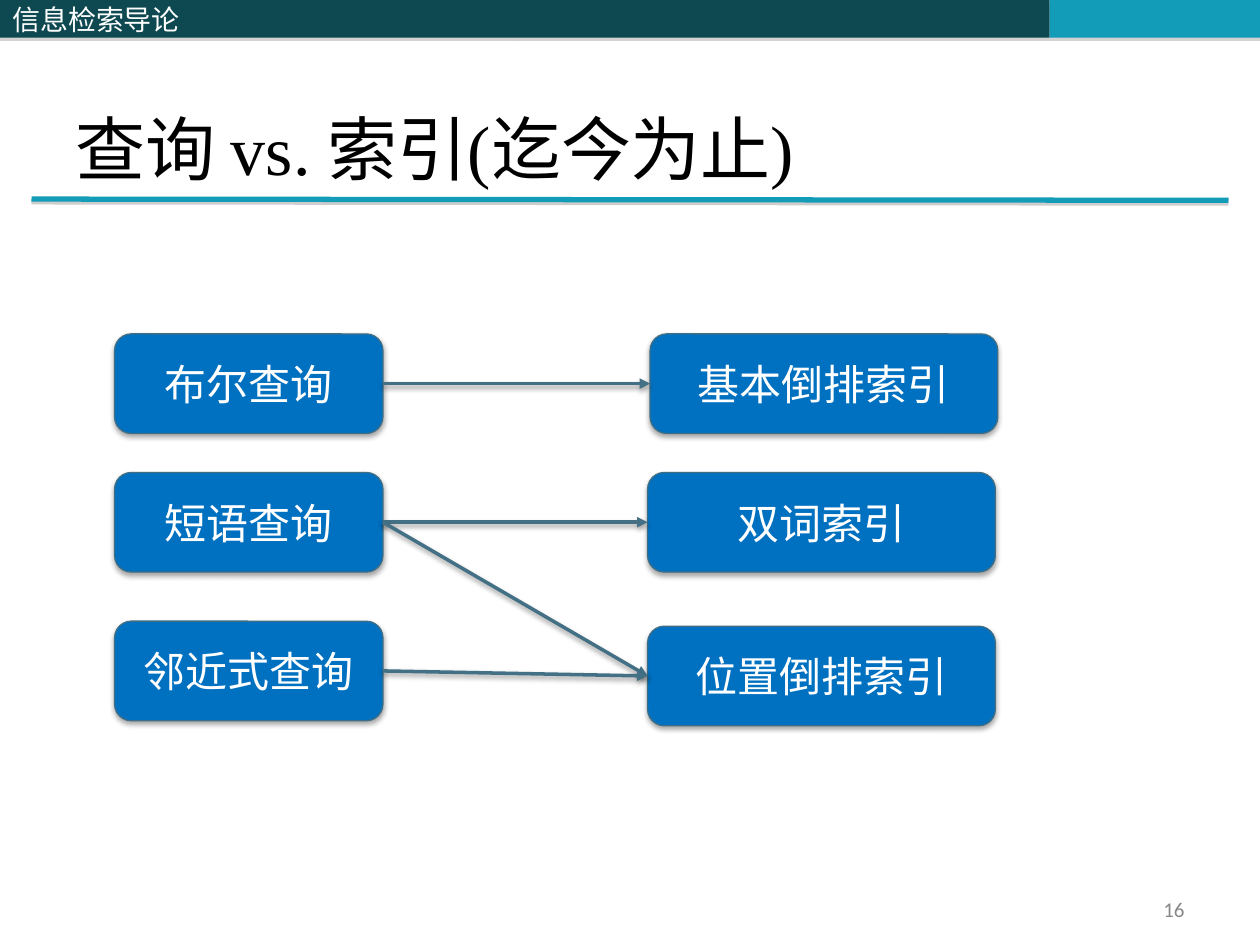
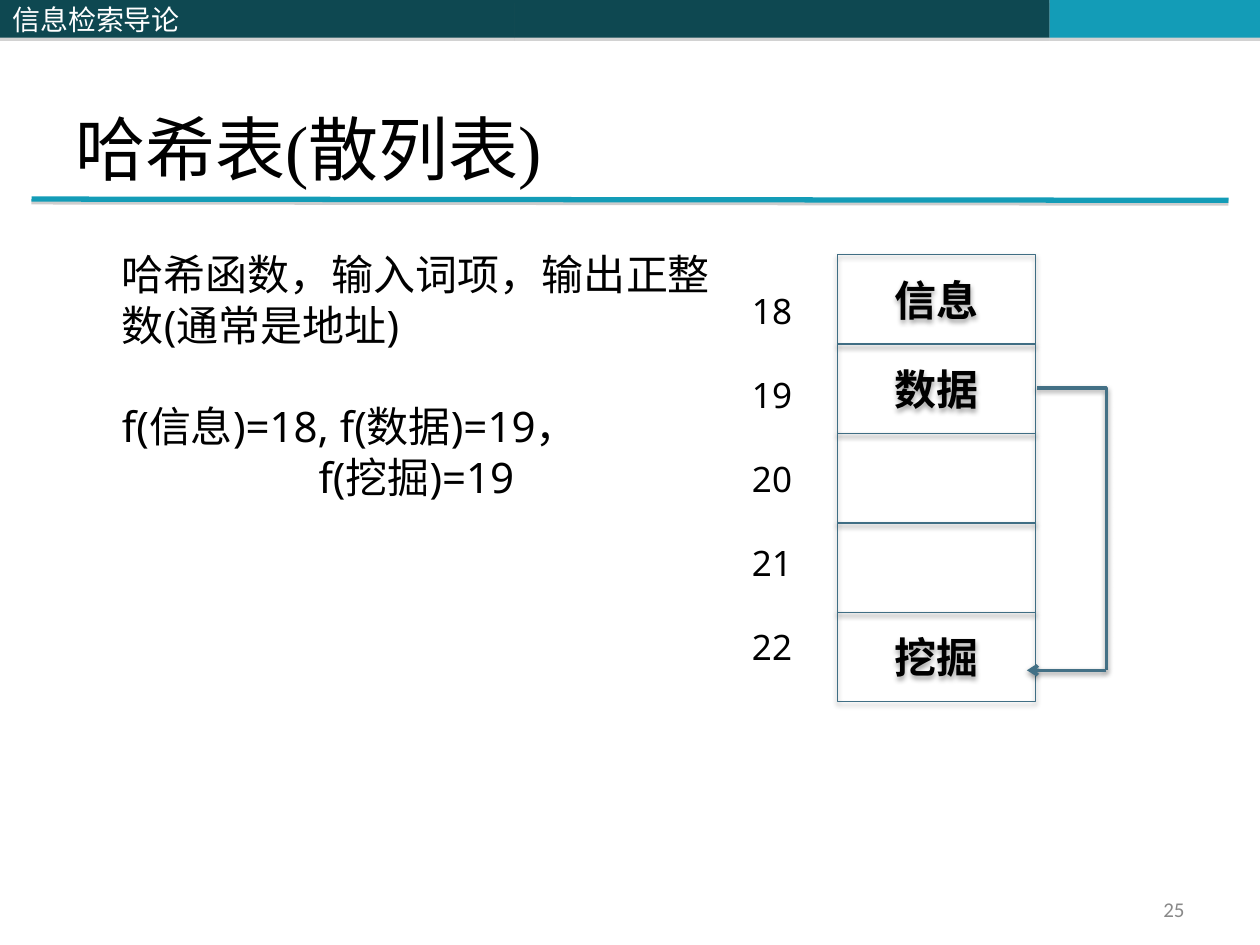
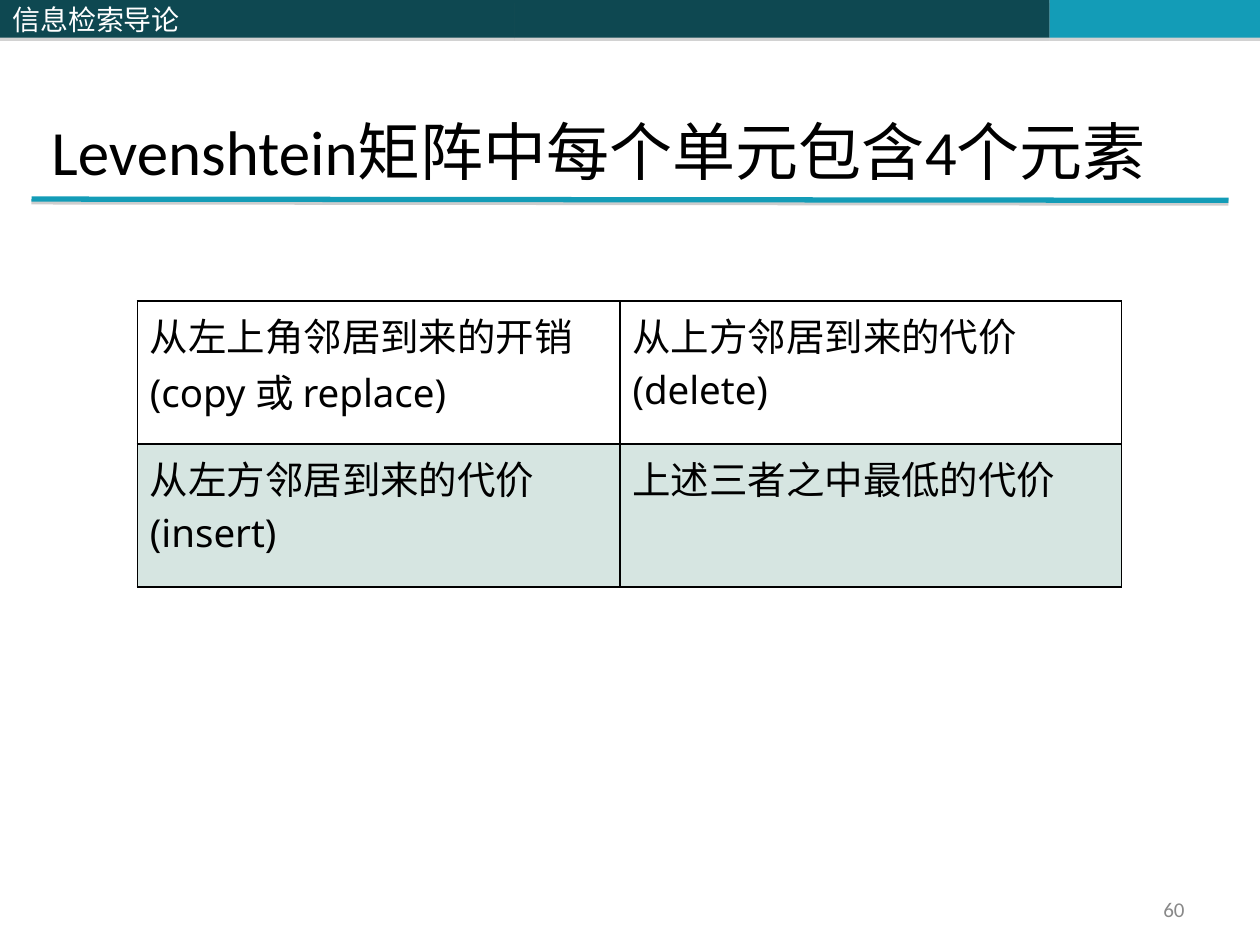
from lxml import etree
from pptx import Presentation
from pptx.dml.color import RGBColor
from pptx.enum.shapes import MSO_CONNECTOR as CONN, MSO_SHAPE as SHAPE
from pptx.enum.text import MSO_ANCHOR as ANCHOR, PP_ALIGN as ALIGN
from pptx.oxml.ns import qn
from pptx.util import Inches, Pt

COLORS = {
    "dark": "0E4851", "accent": "139CB7", "box": "0070C0", "edge": "406E84",
    "arrow": "437085", "white": "FFFFFF", "black": "000000", "gray": "898989",
    "shade": "808080", "cell": "357E69",
}
CJK = "Noto Sans CJK SC"


def rgb(name):
    return RGBColor.from_string(COLORS[name])


def sub(parent, tag, **attrs):
    return etree.SubElement(parent, qn(tag), {k: str(v) for k, v in attrs.items()})


def add_shadow(sp, color, alpha, blur, dist):
    """Give a shape or connector a soft shadow that falls straight down."""
    effects = sub(sp._element.spPr, "a:effectLst")
    shadow = sub(effects, "a:outerShdw", blurRad=Pt(blur), dist=Pt(dist),
                 dir=5400000, algn="ctr", rotWithShape=0)
    clr = sub(shadow, "a:srgbClr", val=COLORS[color])
    sub(clr, "a:alpha", val=alpha * 1000)


def write(tf, *lines, size=24, font="Calibri", color="black", bold=False, align=ALIGN.LEFT,
          anchor=ANCHOR.TOP, pitch=None, gaps=(), indents=()):
    """Fill a text frame; gaps and indents map a line number to its size."""
    tf.word_wrap = True
    tf.vertical_anchor = anchor
    for i, line in enumerate(lines):
        p = tf.paragraphs[0] if i == 0 else tf.add_paragraph()
        p.alignment = align
        if pitch:
            p.line_spacing = Pt(pitch)
        if i in gaps:
            p.space_before = Pt(gaps[i])
        if i in indents:
            p._p.get_or_add_pPr().set("marL", str(Inches(indents[i])))
        r = p.add_run()
        r.text = line
        r.font.size, r.font.name, r.font.bold = Pt(size), font, bold
        r.font.color.rgb = rgb(color)
        sub(r._r.get_or_add_rPr(), "a:ea", typeface=CJK)


class Deck:
    def __init__(self):
        self.prs = Presentation()
        self.prs.slide_width, self.prs.slide_height = Inches(10), Inches(7.5)
        self.s = None

    def slide(self, number, title, **title_style):
        self.s = self.prs.slides.add_slide(self.prs.slide_layouts[6])
        self.band(4.08, 4.25, "dark")
        self.band(8.33, 1.67, "accent")
        self.line((0.25, 1.58), (9.75, 1.59), color="accent", width=3,
                  shadow=("shade", 38, 0, 1.6))
        header = self.band(0, 4.08, "dark")
        write(header.text_frame, "信息检索导论", size=16, font=CJK, color="white",
              anchor=ANCHOR.MIDDLE)
        style = dict(at=(0.5, 0.3, 9, 1.25), size=40, font="Times New Roman",
                     anchor=ANCHOR.BOTTOM)
        self.text(title, **(style | title_style))
        self.text(str(number), at=(7.17, 7.08, 2.33, 0.27), size=12, color="gray",
                  align=ALIGN.RIGHT, anchor=ANCHOR.MIDDLE)

    def text(self, *lines, at, **style):
        tb = self.s.shapes.add_textbox(*map(Inches, at))
        write(tb.text_frame, *lines, **style)

    def shape(self, kind, at, fill=None, edge=None, shadow=("black", 35, 3.1, 1.8)):
        sp = self.s.shapes.add_shape(kind, *map(Inches, at))
        if fill:
            sp.fill.solid()
            sp.fill.fore_color.rgb = rgb(fill)
        else:
            sp.fill.background()
        if edge:
            sp.line.color.rgb = rgb(edge)
            sp.line.width = Pt(0.75)
        else:
            sp.line.fill.background()
        add_shadow(sp, *shadow)
        return sp

    def band(self, left, width, fill):
        return self.shape(SHAPE.RECTANGLE, (left, 0, width, 0.3), fill,
                          shadow=("shade", 35, 0, 1.8))

    def box(self, label, at, kind=SHAPE.ROUNDED_RECTANGLE, fill="box", color="white",
            bold=False):
        sp = self.shape(kind, at, fill, "edge")
        if label:
            write(sp.text_frame, label, color=color, bold=bold, align=ALIGN.CENTER,
                  anchor=ANCHOR.MIDDLE)
        return sp

    def line(self, start, end, kind=CONN.STRAIGHT, color="arrow", width=2, head=None,
             shadow=("black", 38, 3.1, 1.6)):
        cx = self.s.shapes.add_connector(kind, *map(Inches, (*start, *end)))
        cx.line.color.rgb = rgb(color)
        cx.line.width = Pt(width)
        if head:
            sub(cx.line._get_or_add_ln(), "a:tailEnd", type=head)
        add_shadow(cx, *shadow)
        return cx

    def link(self, source, target):
        """Draw an arrow from the right side of one box to the left side of another."""
        cx = self.line((0, 0), (1, 1), head="triangle")
        cx.begin_connect(source, 3)
        cx.end_connect(target, 1)

    def table(self, rows, at, widths):
        table = self.s.shapes.add_table(len(rows), len(widths), *map(Inches, at)).table
        table.first_row = table.horz_banding = False
        for col, width in zip(table.columns, widths):
            col.width = Inches(width)
        for i, row in enumerate(rows):
            for j, label in enumerate(row):
                self.cell(table.cell(i, j), label, tinted=i % 2 == 1)

    def cell(self, cell, label, tinted):
        write(cell.text_frame, label, size=22, font="Noto Sans")
        tcPr = cell._tc.get_or_add_tcPr()
        for side in "LRTB":
            ln = sub(tcPr, f"a:ln{side}", w=Pt(1))
            sub(sub(ln, "a:solidFill"), "a:srgbClr", val=COLORS["black"])
        if tinted:
            cell.fill.solid()
            cell.fill.fore_color.rgb = rgb("cell")
            clr = tcPr.find(qn("a:solidFill")).find(qn("a:srgbClr"))
            sub(clr, "a:alpha", val=20000)
        else:
            cell.fill.background()


def queries_and_indexes(deck):
    deck.slide(16, "查询 vs. 索引(迄今为止)")
    boolean, phrase, proximity = [
        deck.box(label, (0.91, top, 2.13, 0.79))
        for label, top in (("布尔查询", 2.65), ("短语查询", 3.75), ("邻近式查询", 4.93))]
    basic, biword, positional = [
        deck.box(label, (left, top, 2.76, 0.79))
        for label, left, top in (("基本倒排索引", 5.16, 2.65), ("双词索引", 5.14, 3.75),
                                 ("位置倒排索引", 5.14, 4.97))]
    for query, index in ((boolean, basic), (phrase, biword), (phrase, positional),
                         (proximity, positional)):
        deck.link(query, index)


def hash_table(deck):
    deck.slide(25, "哈希表(散列表)")
    for i, term in enumerate(("信息", "数据", "", "", "挖掘")):
        deck.box(term, (6.65, 2.02 + 0.71 * i, 1.57, 0.71), kind=SHAPE.RECTANGLE,
                 fill=None, color="black", bold=True)
    deck.text("哈希函数，输入词项，输出正整数(通常是地址)", "f(信息)=18, f(数据)=19，",
              "f(挖掘)=19", at=(0.87, 1.92, 4.96, 2.93), font="Noto Sans", pitch=29,
              gaps={1: 29}, indents={2: 1.56})
    slots = [str(n) for n in range(18, 23)]
    deck.text(*slots, at=(5.87, 2.25, 0.87, 3.2), size=20, font="Noto Sans", pitch=24,
              gaps={i: 24 for i in range(1, len(slots))})
    corner = (8.78, 5.32)
    elbow = deck.line((8.23, 3.08), corner, kind=CONN.ELBOW)
    elbow._element.spPr.find(qn("a:prstGeom")).set("prst", "bentConnector2")
    deck.line(corner, (8.15, 5.32), head="arrow")


def levenshtein_cell(deck):
    deck.slide(60, "Levenshtein矩阵中每个单元包含4个元素", at=(0.31, 0.01, 9.45, 1.53),
               size=36, font="Calibri")
    deck.table([("从左上角邻居到来的开销 (copy 或 replace)", "从上方邻居到来的代价 (delete)"),
                ("从左方邻居到来的代价 (insert)", "上述三者之中最低的代价")],
               at=(1.09, 2.39, 7.81, 2.27), widths=(3.83, 3.98))


def main():
    deck = Deck()
    queries_and_indexes(deck)
    hash_table(deck)
    levenshtein_cell(deck)
    deck.prs.save("out.pptx")


if __name__ == "__main__":
    main()
